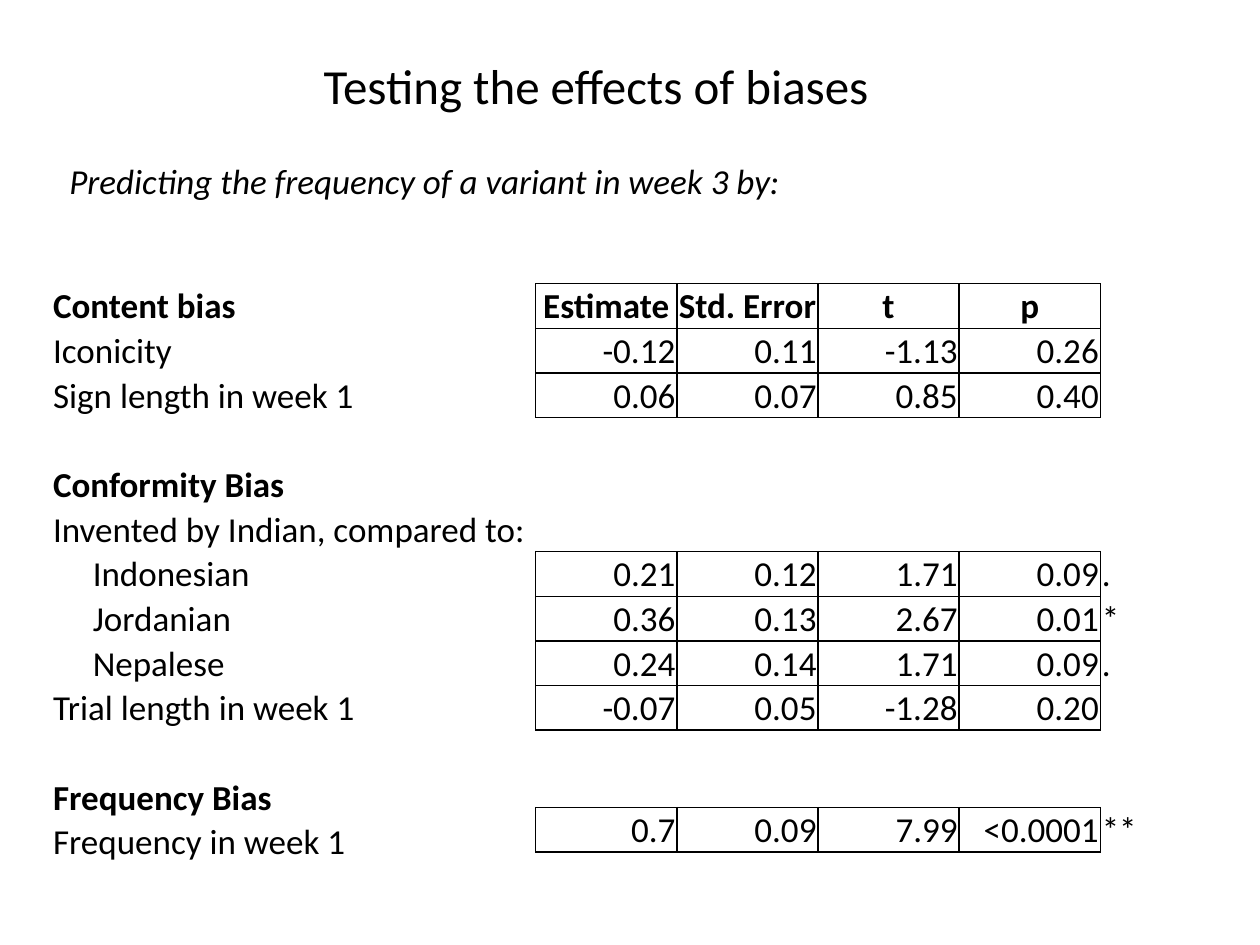
from dataclasses import dataclass

from lxml import etree
from pptx import Presentation
from pptx.dml.color import RGBColor
from pptx.enum.text import MSO_ANCHOR, MSO_AUTO_SIZE, PP_ALIGN
from pptx.oxml.ns import qn
from pptx.util import Cm, Pt

LEFT, CENTER, RIGHT = PP_ALIGN.LEFT, PP_ALIGN.CENTER, PP_ALIGN.RIGHT
TOP, BOTTOM = MSO_ANCHOR.TOP, MSO_ANCHOR.BOTTOM
NO_FIT = MSO_AUTO_SIZE.NONE


@dataclass(frozen=True)
class Theme:
    font: str = "Calibri"
    ink: str = "000000"
    title_size: int = 28
    body_size: int = 20
    border: int = 1


THEME = Theme()

# Content
TITLE = "Testing the effects of biases"
SUBTITLE = "Predicting the frequency of a variant in week 3 by:"
HEADINGS = {"Content bias", "Conformity Bias", "Frequency Bias"}
COUNTRIES = {"Indonesian", "Jordanian", "Nepalese"}
LABELS = [
    "Content bias", "Iconicity", "Sign length in week 1", "",
    "Conformity Bias", "Invented by Indian, compared to:",
    "Indonesian", "Jordanian", "Nepalese", "Trial length in week 1", "",
    "Frequency Bias", "Frequency in week 1",
]
HEADER = ("Estimate", "Std. Error", "t", "p", "")
CONTENT_STATS = [
    HEADER,
    ("-0.12", "0.11", "-1.13", "0.26", ""),
    ("0.06", "0.07", "0.85", "0.40", ""),
]
CONFORMITY_STATS = [
    ("0.21", "0.12", "1.71", "0.09", "."),
    ("0.36", "0.13", "2.67", "0.01", "*"),
    ("0.24", "0.14", "1.71", "0.09", "."),
    ("-0.07", "0.05", "-1.28", "0.20", ""),
]
FREQUENCY_STATS = [("0.7", "0.09", "7.99", "<0.0001", "**")]

# Grid, in centimetres
ROW = 0.9
TABLE_TOP = 5.72
LABEL_LEFT, LABEL_WIDTH = 1.04, 11.73
STATS_LEFT, STATS_WIDTH = 10.8, 2.845
COUNTRY_INDENT = 0.8
CELL_MARGIN = 0.03
STATS_TABLES = [
    (TABLE_TOP, CONTENT_STATS),
    (TABLE_TOP + LABELS.index("Indonesian") * ROW, CONFORMITY_STATS),
    (16.28, FREQUENCY_STATS),
]


def write(frame, text, size=THEME.body_size, bold=False, italic=False, align=LEFT):
    para = frame.paragraphs[0]
    para.alignment = align
    para.font.size = Pt(size)
    if text:
        span = para.add_run()
        span.text = text
        font = span.font
        font.name, font.size = THEME.font, Pt(size)
        font.bold, font.italic = bold, italic
        font.color.rgb = RGBColor.from_string(THEME.ink)


def place(box, left, top, width, height):
    box.left, box.top, box.width, box.height = map(Cm, (left, top, width, height))
    frame = box.text_frame
    frame.auto_size, frame.word_wrap = NO_FIT, False
    frame.vertical_anchor = TOP
    return frame


def set_borders(cell, sides):
    properties = cell._tc.get_or_add_tcPr()
    for side in "LRTB":
        line = etree.SubElement(properties, qn(f"a:ln{side}"), w=str(Pt(THEME.border)))
        if side in sides:
            fill = etree.SubElement(line, qn("a:solidFill"))
            etree.SubElement(fill, qn("a:srgbClr"), val=THEME.ink)
        else:
            etree.SubElement(line, qn("a:noFill"))


def add_grid(left, top, column_width, rows, columns):
    table = page.shapes.add_table(
        rows, columns, Cm(left), Cm(top), Cm(column_width * columns), Cm(ROW * rows)
    ).table
    table.first_row = table.horz_banding = False
    for column in table.columns:
        column.width = Cm(column_width)
    for row in table.rows:
        row.height = Cm(ROW)
    return table


def fill_cell(cell, text, sides="", indent=0, **style):
    cell.margin_left = Cm(CELL_MARGIN + indent)
    cell.margin_right = cell.margin_top = Cm(CELL_MARGIN)
    cell.margin_bottom = 0
    cell.vertical_anchor = BOTTOM
    set_borders(cell, sides)
    cell.fill.background()
    write(cell.text_frame, text, **style)


deck = Presentation()
deck.slide_width, deck.slide_height = Cm(25.4), Cm(19.05)
page = deck.slides.add_slide(deck.slide_layouts[5])

# Title and subtitle
write(place(page.shapes.title, 6.27, 1, 11.63, 1.45), TITLE, size=THEME.title_size)
subtitle = page.shapes.add_textbox(0, 0, 0, 0)
write(place(subtitle, 1.15, 3.1, 15.04, 1.12), SUBTITLE, italic=True)

# Predictor labels
label_table = add_grid(LABEL_LEFT, TABLE_TOP, LABEL_WIDTH, len(LABELS), 1)
for index, label in enumerate(LABELS):
    fill_cell(label_table.cell(index, 0), label, bold=label in HEADINGS,
              indent=COUNTRY_INDENT if label in COUNTRIES else 0)

# Statistics, with significance marks in an open last column
for top, stats in STATS_TABLES:
    stats_table = add_grid(STATS_LEFT, top, STATS_WIDTH, len(stats), len(HEADER))
    for r, values in enumerate(stats):
        is_header = values is HEADER
        for c, value in enumerate(values):
            is_mark = c == len(HEADER) - 1
            align = LEFT if is_mark else CENTER if is_header else RIGHT
            fill_cell(stats_table.cell(r, c), value, sides="L" if is_mark else "LRTB",
                      bold=is_header, align=align)

deck.save("out.pptx")
